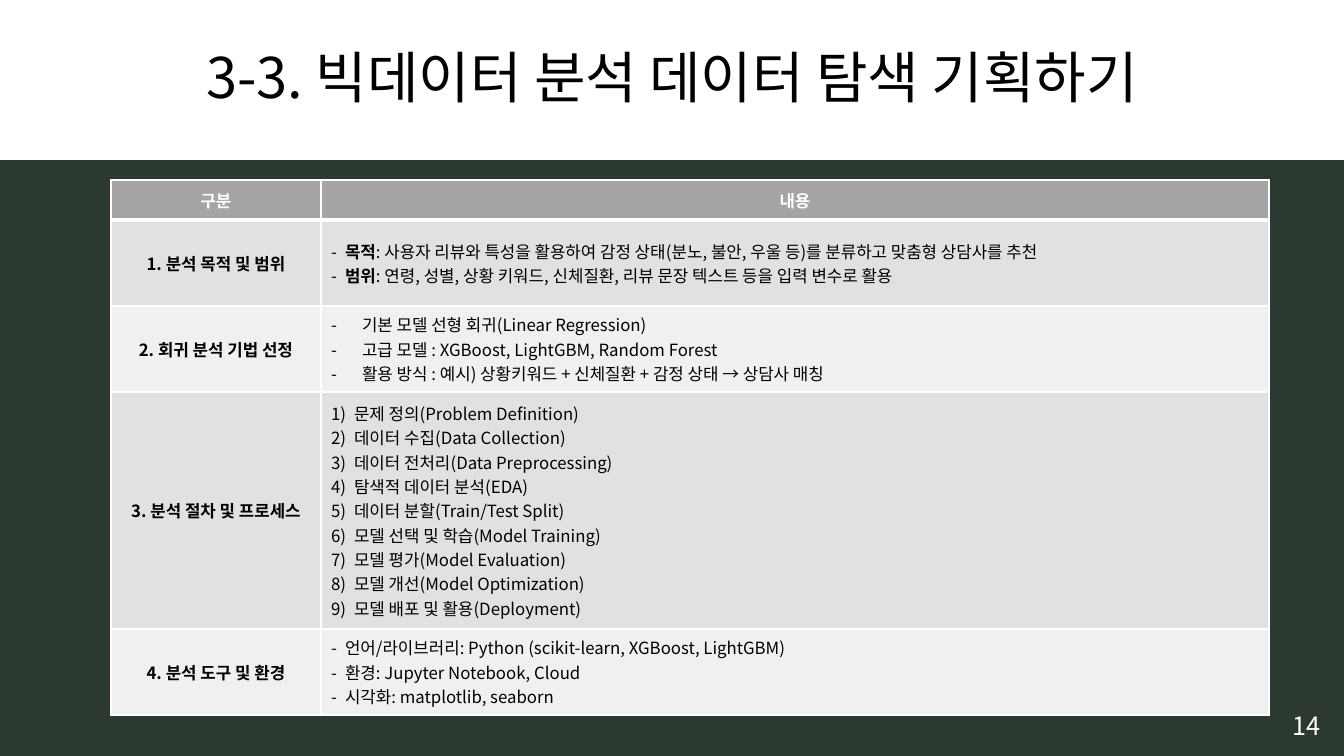
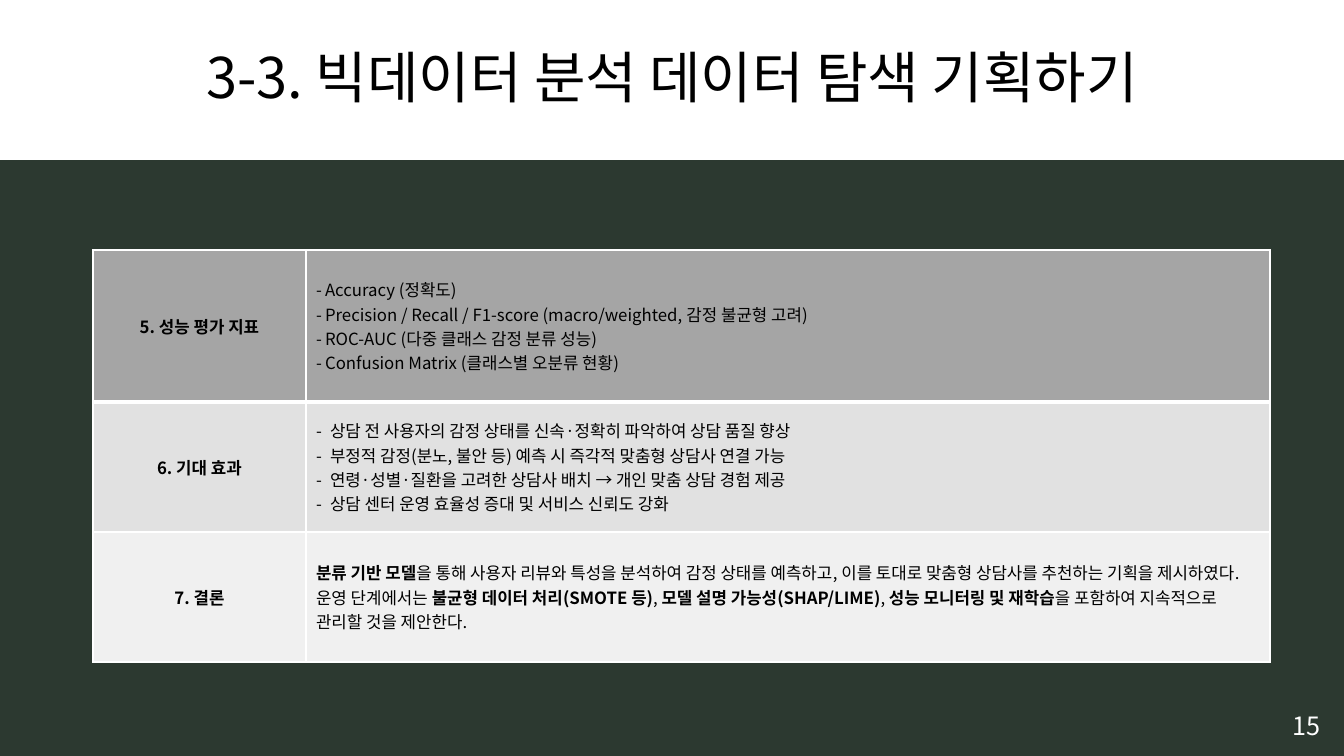
from collections import namedtuple

from lxml.etree import SubElement
from pptx import Presentation
from pptx.dml.color import RGBColor
from pptx.enum.shapes import MSO_SHAPE as Shape
from pptx.enum.text import MSO_ANCHOR as Anchor, PP_ALIGN as Align
from pptx.oxml.ns import qn
from pptx.util import Pt

PX = 914400 / 100.8
WIDTH, HEIGHT = 1344, 756

GREEN = RGBColor(0x2C, 0x39, 0x30)
WHITE = RGBColor(0xFF, 0xFF, 0xFF)
BLACK = RGBColor(0x00, 0x00, 0x00)
HEAD_GRAY = RGBColor(0xA5, 0xA5, 0xA5)
BAND_GRAYS = (RGBColor(0xE1, 0xE1, 0xE1), RGBColor(0xF0, 0xF0, 0xF0))

FONT = "Noto Sans CJK KR"
TITLE = "3-3. 빅데이터 분석 데이터 탐색 기획하기"

Row = namedtuple("Row", "height label lines marker hang color align",
                 defaults=("-", 14, BLACK, Align.LEFT))


def px(length):
    return round(length * PX)


def add_marker(paragraph, marker, hang):
    """Give the paragraph a hanging "-" bullet or a "1)" number."""
    props = paragraph._p.get_or_add_pPr()
    props.set("marL", str(px(hang)))
    props.set("indent", str(-px(hang)))
    if marker == "1)":
        SubElement(props, qn("a:buAutoNum"), type="arabicParenR")
    else:
        SubElement(props, qn("a:buFont"), typeface=FONT)
        SubElement(props, qn("a:buChar"), char=marker)


def write(frame, *lines, size=12, color=BLACK, bold=False, align=Align.LEFT,
          spacing=None, marker=None, hang=0):
    """Write one paragraph per line; text between ** marks is bold."""
    frame.word_wrap = True
    for index, line in enumerate(lines):
        paragraph = frame.add_paragraph() if index else frame.paragraphs[0]
        paragraph.alignment = align
        if spacing:
            paragraph.line_spacing = spacing
        if marker:
            add_marker(paragraph, marker, hang)
        for part, text in enumerate(line.split("**")):
            if not text:
                continue
            run = paragraph.add_run()
            run.text = text
            font = run.font
            font.name, font.size = FONT, Pt(size)
            font.bold = bold or part % 2 == 1
            font.color.rgb = color
            SubElement(run._r.get_or_add_rPr(), qn("a:ea"), typeface=FONT)


def add_borders(cell, **widths):
    props = cell._tc.get_or_add_tcPr()
    for side in "LRTB":
        line = SubElement(props, qn(f"a:ln{side}"), w=str(Pt(widths.get(side, 1))))
        fill = SubElement(line, qn("a:solidFill"))
        SubElement(fill, qn("a:srgbClr"), val=str(WHITE))


class Deck:
    def __init__(self):
        self.prs = Presentation()
        self.prs.slide_width, self.prs.slide_height = px(WIDTH), px(HEIGHT)
        self.slide = None

    def add_slide(self, title, number):
        self.slide = self.prs.slides.add_slide(self.prs.slide_layouts[6])
        background = self.slide.background.fill
        background.solid()
        background.fore_color.rgb = GREEN
        self.title_band(title)
        self.page_number(number)

    def title_band(self, title):
        band = self.slide.shapes.add_shape(Shape.RECTANGLE, 0, 0, px(WIDTH), px(160))
        band.shadow.inherit = False
        band.fill.solid()
        band.fill.fore_color.rgb = WHITE
        band.line.fill.background()
        band.text_frame.vertical_anchor = Anchor.MIDDLE
        write(band.text_frame, title, size=40, align=Align.CENTER, spacing=0.9)

    def page_number(self, number):
        box = self.slide.shapes.add_textbox(px(1269), px(705), px(75), px(40))
        write(box.text_frame, str(number), size=18, color=WHITE, align=Align.CENTER)

    def table(self, left, top, columns, rows):
        """Draw label and content columns under a darker first row."""
        table = self.slide.shapes.add_table(
            len(rows), len(columns), px(left), px(top),
            px(sum(columns)), px(sum(row.height for row in rows))).table
        table.first_row = table.horz_banding = False
        for column, width in zip(table.columns, columns):
            column.width = px(width)
        for index, row in enumerate(rows):
            table.rows[index].height = px(row.height)
            label, content = table.cell(index, 0), table.cell(index, 1)
            for cell in (label, content):
                add_borders(cell, T=3 if index == 1 else 1, B=1 if index else 3)
                cell.fill.solid()
                cell.fill.fore_color.rgb = BAND_GRAYS[(index - 1) % 2] if index else HEAD_GRAY
                cell.vertical_anchor = Anchor.MIDDLE
            write(label.text_frame, row.label, color=row.color, bold=True,
                  align=Align.CENTER)
            write(content.text_frame, *row.lines, color=row.color,
                  align=row.align, marker=row.marker, hang=row.hang)


PLAN_ROWS = [
    Row(40, "구분", ["**내용**"], marker=None, color=WHITE, align=Align.CENTER),
    Row(86, "1. 분석 목적 및 범위", [
        "**목적**: 사용자 리뷰와 특성을 활용하여 감정 상태(분노, 불안, 우울 등)를 분류하고 맞춤형 상담사를 추천",
        "**범위**: 연령, 성별, 상황 키워드, 신체질환, 리뷰 문장 텍스트 등을 입력 변수로 활용",
    ]),
    Row(86, "2. 회귀 분석 기법 선정", [
        "기본 모델 선형 회귀(Linear Regression)",
        "고급 모델 : XGBoost, LightGBM, Random Forest",
        "활용 방식 : 예시) 상황키워드 + 신체질환 + 감정 상태 → 상담사 매칭",
    ], hang=31),
    Row(237, "3. 분석 절차 및 프로세스", [
        "문제 정의(Problem Definition)",
        "데이터 수집(Data Collection)",
        "데이터 전처리(Data Preprocessing)",
        "탐색적 데이터 분석(EDA)",
        "데이터 분할(Train/Test Split)",
        "모델 선택 및 학습(Model Training)",
        "모델 평가(Model Evaluation)",
        "모델 개선(Model Optimization)",
        "모델 배포 및 활용(Deployment)",
    ], marker="1)", hang=23),
    Row(86, "4. 분석 도구 및 환경", [
        "언어/라이브러리: Python (scikit-learn, XGBoost, LightGBM)",
        "환경: Jupyter Notebook, Cloud",
        "시각화: matplotlib, seaborn",
    ]),
]

RESULT_ROWS = [
    Row(152, "5. 성능 평가 지표", [
        "Accuracy (정확도)",
        "Precision / Recall / F1-score (macro/weighted, 감정 불균형 고려)",
        "ROC-AUC (다중 클래스 감정 분류 성능)",
        "Confusion Matrix (클래스별 오분류 현황)",
    ], hang=9),
    Row(130, "6. 기대 효과", [
        "상담 전 사용자의 감정 상태를 신속·정확히 파악하여 상담 품질 향상",
        "부정적 감정(분노, 불안 등) 예측 시 즉각적 맞춤형 상담사 연결 가능",
        "연령·성별·질환을 고려한 상담사 배치 → 개인 맞춤 상담 경험 제공",
        "상담 센터 운영 효율성 증대 및 서비스 신뢰도 강화",
    ]),
    Row(130, "7. 결론", [
        "**분류 기반 모델**을 통해 사용자 리뷰와 특성을 분석하여 감정 상태를 예측하고, "
        "이를 토대로 맞춤형 상담사를 추천하는 기획을 제시하였다. 운영 단계에서는 "
        "**불균형 데이터 처리(SMOTE 등)**, **모델 설명 가능성(SHAP/LIME)**, "
        "**성능 모니터링 및 재학습**을 포함하여 지속적으로 관리할 것을 제안한다.",
    ], marker=None, hang=0),
]


def main():
    deck = Deck()
    deck.add_slide(TITLE, 14)
    deck.table(111, 180, (210, 948), PLAN_ROWS)
    deck.add_slide(TITLE, 15)
    deck.table(93, 250, (213, 964), RESULT_ROWS)
    deck.prs.save("out.pptx")


if __name__ == "__main__":
    main()
